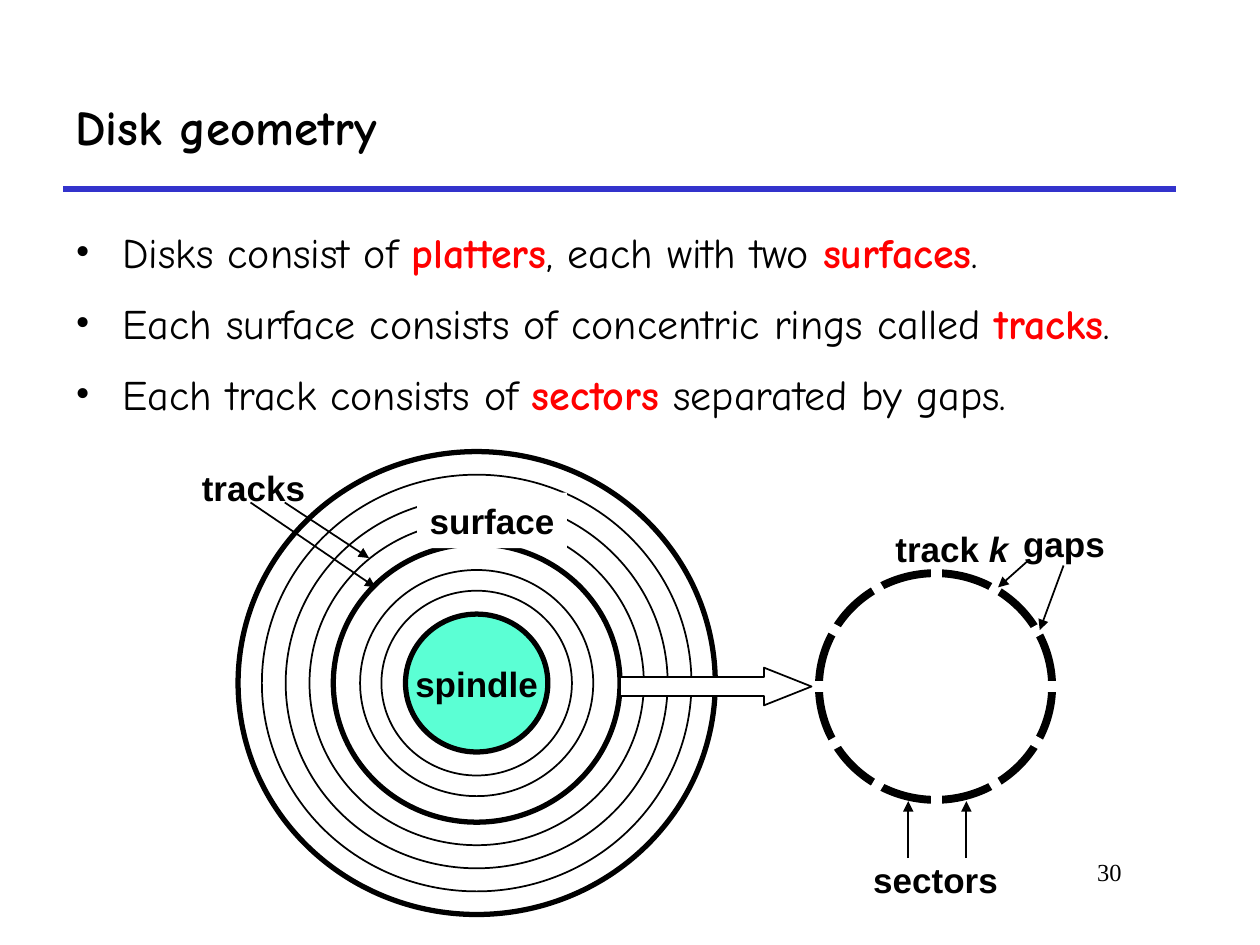
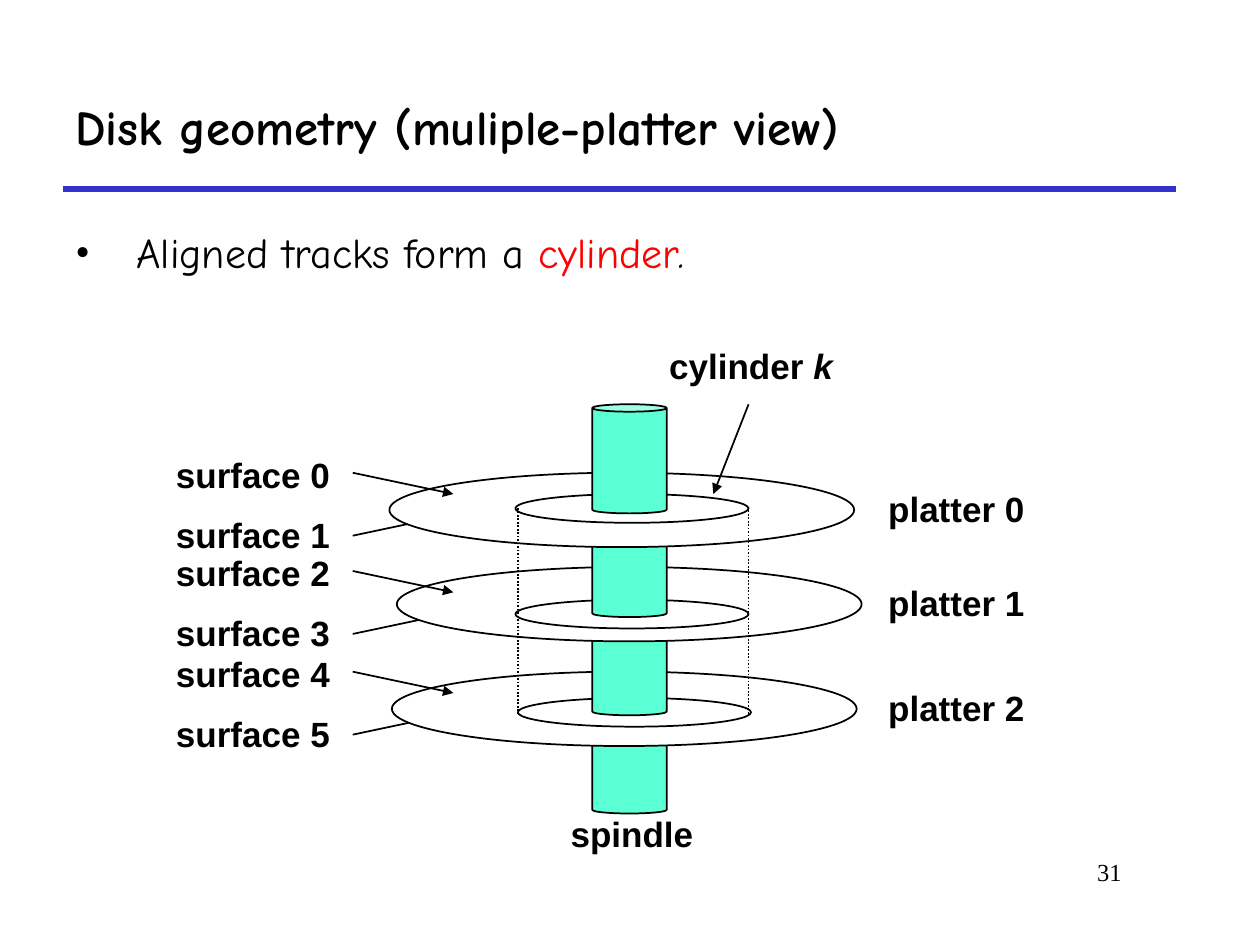
from dataclasses import dataclass
from math import cos, radians, sin

from lxml import etree
from pptx import Presentation
from pptx.dml.color import RGBColor
from pptx.enum.dml import MSO_LINE
from pptx.enum.shapes import MSO_CONNECTOR, MSO_SHAPE
from pptx.enum.text import MSO_ANCHOR, MSO_AUTO_SIZE, PP_ALIGN
from pptx.oxml.ns import qn
from pptx.util import Cm, Pt

BLACK = RGBColor(0x00, 0x00, 0x00)
WHITE = RGBColor(0xFF, 0xFF, 0xFF)
RED = RGBColor(0xFF, 0x00, 0x00)
BLUE = RGBColor(0x33, 0x33, 0xCC)
MINT = RGBColor(0x5B, 0xFF, 0xD4)

OVAL, RECT = MSO_SHAPE.OVAL, MSO_SHAPE.RECTANGLE
CAN, ARROW = MSO_SHAPE.CAN, MSO_SHAPE.RIGHT_ARROW
STRAIGHT, DOTS = MSO_CONNECTOR.STRAIGHT, MSO_LINE.ROUND_DOT
TOP, MIDDLE = MSO_ANCHOR.TOP, MSO_ANCHOR.MIDDLE
LEFT, CENTER, RIGHT = PP_ALIGN.LEFT, PP_ALIGN.CENTER, PP_ALIGN.RIGHT
GROW = MSO_AUTO_SIZE.SHAPE_TO_FIT_TEXT

HAND, SANS, SERIF = "Comic Neue", "Arial", "Times New Roman"


# All lengths below are centimetres, all line widths points
@dataclass(frozen=True)
class Box:
    x: float
    y: float
    w: float
    h: float

    def cm(self) -> tuple:
        return Cm(self.x), Cm(self.y), Cm(self.w), Cm(self.h)


@dataclass(frozen=True)
class Label:
    text: str
    x: float  # centre
    y: float  # centre
    w: float
    slant: str = ""
    fill: RGBColor | None = None


@dataclass(frozen=True)
class Line:
    x1: float
    y1: float
    x2: float
    y2: float
    color: RGBColor = BLACK
    width: float = 1
    head: bool = True
    dash: MSO_LINE | None = None


@dataclass(frozen=True)
class Run:
    text: str
    color: RGBColor = BLACK
    bold: bool = False
    italic: bool = False


@dataclass(frozen=True)
class Platter:
    x: float
    y: float
    track_x: float
    track_y: float
    can_y: float  # spindle part above
    arrow_y: float  # start of the upper surface's arrow


def around(x: float, y: float, w: float, h: float) -> Box:
    return Box(x - w / 2, y - h / 2, w, h)


def set_font(font, name: str, size: float, bold: bool = False) -> None:
    font.name, font.size, font.bold = name, Pt(size), bold
    font.color.rgb = BLACK


def add_line(slide, line: Line) -> None:
    link = slide.shapes.add_connector(
        STRAIGHT, Cm(line.x1), Cm(line.y1), Cm(line.x2), Cm(line.y2))
    link.line.color.rgb, link.line.width = line.color, Pt(line.width)
    if line.dash:
        link.line.dash_style = line.dash
    if line.head:
        etree.SubElement(link.line._get_or_add_ln(), qn("a:tailEnd"),
                         type="triangle")
    etree.SubElement(link._element.spPr, qn("a:effectLst"))


def add_form(slide, kind, box: Box, fill: RGBColor | None = None,
             width: float = 1):
    form = slide.shapes.add_shape(kind, *box.cm())
    form.shadow.inherit = False
    if fill is None:
        form.fill.background()
    else:
        form.fill.solid()
        form.fill.fore_color.rgb = fill
    if width:
        form.line.color.rgb, form.line.width = BLACK, Pt(width)
    else:
        form.line.fill.background()
    return form


def put_text(shape, text: str, name: str, size: float, bold: bool,
             align, anchor, wrap: bool = True):
    frame = shape.text_frame
    frame.word_wrap, frame.vertical_anchor = wrap, anchor
    para = frame.paragraphs[0]
    para.alignment = align
    set_font(para.font, name, size, bold)
    para.add_run().text = text
    return para


def add_label(slide, label: Label) -> None:
    box = around(label.x, label.y, label.w, 1.12)
    if label.fill is None:
        shape = slide.shapes.add_textbox(*box.cm())
    else:
        shape = add_form(slide, RECT, box, label.fill, 0)
    para = put_text(shape, label.text, SANS, 20, True, CENTER, MIDDLE, False)
    shape.text_frame.auto_size = GROW
    if label.slant:
        run = para.add_run()
        run.text, run.font.italic = label.slant, True


def add_list(slide, box: Box, items: list[list[Run]], spacing: float) -> None:
    frame = slide.shapes.add_textbox(*box.cm()).text_frame
    frame.word_wrap = True
    for n, item in enumerate(items):
        para = frame.add_paragraph() if n else frame.paragraphs[0]
        para.line_spacing, para.space_before = spacing, Pt(6)
        props = para._p.get_or_add_pPr()
        props.set("marL", str(Cm(0.95)))
        props.set("indent", str(Cm(-0.95)))
        tint = etree.SubElement(props, qn("a:buClr"))
        etree.SubElement(tint, qn("a:srgbClr"), val=str(BLACK))
        etree.SubElement(props, qn("a:buFont"), typeface=SERIF)
        etree.SubElement(props, qn("a:buChar"), char="•")
        para.font.name, para.font.size = HAND, Pt(24)
        for part in item:
            run = para.add_run()
            run.text = part.text
            run.font.color.rgb = part.color
            run.font.bold, run.font.italic = part.bold, part.italic


def add_page(deck, title: str, number: int):
    """Blank slide with the shared title, rule and page number."""
    slide = deck.slides.add_slide(deck.slide_layouts[6])
    add_line(slide, Line(1.27, 3.81, 23.7, 3.81, BLUE, 3, False))
    page = slide.shapes.add_textbox(*Box(19.25, 17.15, 3.61, 1.27).cm())
    put_text(page, str(number), SERIF, 14, False, RIGHT, TOP)
    head = slide.shapes.add_textbox(*Box(1.27, 1.27, 22.43, 2.54).cm())
    put_text(head, title, HAND, 28, True, LEFT, MIDDLE)
    return slide


def draw_disk(slide) -> None:
    # Concentric tracks: width and line of each ring
    rings = [(9.62, 3), (8.66, 1), (7.7, 1), (6.74, 1), (5.78, 3),
             (4.7, 1), (3.84, 1)]
    x, y, ratio = 9.61, 13.77, 0.97
    for w, width in rings:
        add_form(slide, OVAL, around(x, y, w, w * ratio), None, width)
    hub = add_form(slide, OVAL, around(x, y, 2.87, 2.78), MINT, 3)
    put_text(hub, "spindle", SANS, 20, True, CENTER, MIDDLE, False)
    add_label(slide, Label("surface", 9.92, 10.49, 3.02, fill=WHITE))
    add_label(slide, Label("tracks", 5.11, 9.83, 2.62))
    for line in (Line(5.05, 10.13, 7.57, 11.84),
                 Line(5.74, 10.13, 7.44, 11.25)):
        add_line(slide, line)


def draw_track(slide) -> None:
    # One track, cut into sectors by twelve white spokes
    x, y = 18.88, 13.84
    add_form(slide, OVAL, around(18.86, y, 4.7, 4.57), None, 4.5)
    for step in range(12):
        turn = radians(30 * step)
        add_line(slide, Line(x, y, x + 2.7 * cos(turn), y + 2.6 * sin(turn),
                             WHITE, 6, False))
    for label in (Label("track ", 19.19, 11.05, 2.9, "k"),
                  Label("sectors", 18.86, 17.73, 3.05),
                  Label("gaps", 21.45, 10.95, 2.2)):
        add_label(slide, label)
    for line in (Line(18.31, 17.3, 18.31, 16.15),
                 Line(19.48, 17.3, 19.48, 16.15),
                 Line(20.75, 11.28, 20.12, 11.84),
                 Line(21.44, 11.4, 20.96, 12.7)):
        add_line(slide, line)
    arrow = add_form(slide, ARROW, Box(12.5, 13.46, 3.86, 0.76), WHITE)
    arrow.adjustments[0], arrow.adjustments[1] = 0.5, 1.26


def add_can(slide, y: float) -> None:
    can = add_form(slide, CAN, Box(11.94, y, 1.5, 2.2), MINT)
    can.adjustments[0] = 0.1


def draw_stack(slide) -> None:
    platters = [Platter(7.85, 9.53, 10.39, 9.96, 8.15, 9.53),
                Platter(8.0, 11.43, 10.39, 12.09, 10.24, 11.51),
                Platter(7.9, 13.54, 10.44, 14.07, 12.22, 13.54)]
    start, tip, rise, drop = 7.11, 9.14, 0.43, 1.27

    # Arrows to the lower surfaces run behind the platters
    for p in platters:
        low = p.arrow_y + drop
        add_line(slide, Line(start, low, tip, low - rise))

    # Spindle and platters, from the bottom up
    add_can(slide, 14.2)
    for p in reversed(platters):
        add_form(slide, OVAL, Box(p.x, p.y, 9.37, 1.5), WHITE)
        add_form(slide, OVAL, Box(p.track_x, p.track_y, 4.7, 0.58))
        add_can(slide, p.can_y)

    # Upper arrows and labels
    for n, p in enumerate(platters):
        add_line(slide, Line(start, p.arrow_y, tip, p.arrow_y + rise))
        for side in range(2):
            add_label(slide, Label(f"surface {2 * n + side}", 5.1,
                                   p.arrow_y + 0.03 + side * 1.21, 3.61))
        add_label(slide, Label(f"platter {n}", 19.28, p.y + 0.72, 3.25))

    # Cylinder sides
    for x, y in ((10.44, 10.24), (15.09, 10.29)):
        add_line(slide, Line(x, y, x, y + 4.14, head=False, dash=DOTS))
    add_label(slide, Label("cylinder ", 15.14, 7.37, 3.81, "k"))
    add_line(slide, Line(15.09, 8.15, 14.38, 9.96))
    add_label(slide, Label("spindle", 12.74, 16.81, 3.1))


def key(text: str) -> Run:
    return Run(text, RED, True)


def main() -> None:
    deck = Presentation()
    deck.slide_width, deck.slide_height = Cm(25.4), Cm(19.05)

    # Single surface
    slide = add_page(deck, "Disk geometry", 30)
    add_list(slide, Box(1.27, 4.24, 23.5, 12.07), [
        [Run("Disks consist of "), key("platters"),
         Run(", each with two "), key("surfaces"), Run(".")],
        [Run("Each surface consists of concentric rings called "),
         key("tracks"), Run(".")],
        [Run("Each track consists of "), key("sectors"),
         Run(" separated by gaps.")],
    ], 1.2)
    draw_disk(slide)
    draw_track(slide)

    # Several platters
    slide = add_page(deck, "Disk geometry (muliple-platter view)", 31)
    add_list(slide, Box(1.27, 4.45, 23.06, 1.7), [
        [Run(" Aligned tracks form a "), Run("cylinder", RED),
         Run(".", italic=True)],
    ], 1.0)
    draw_stack(slide)

    deck.save("out.pptx")


if __name__ == "__main__":
    main()
